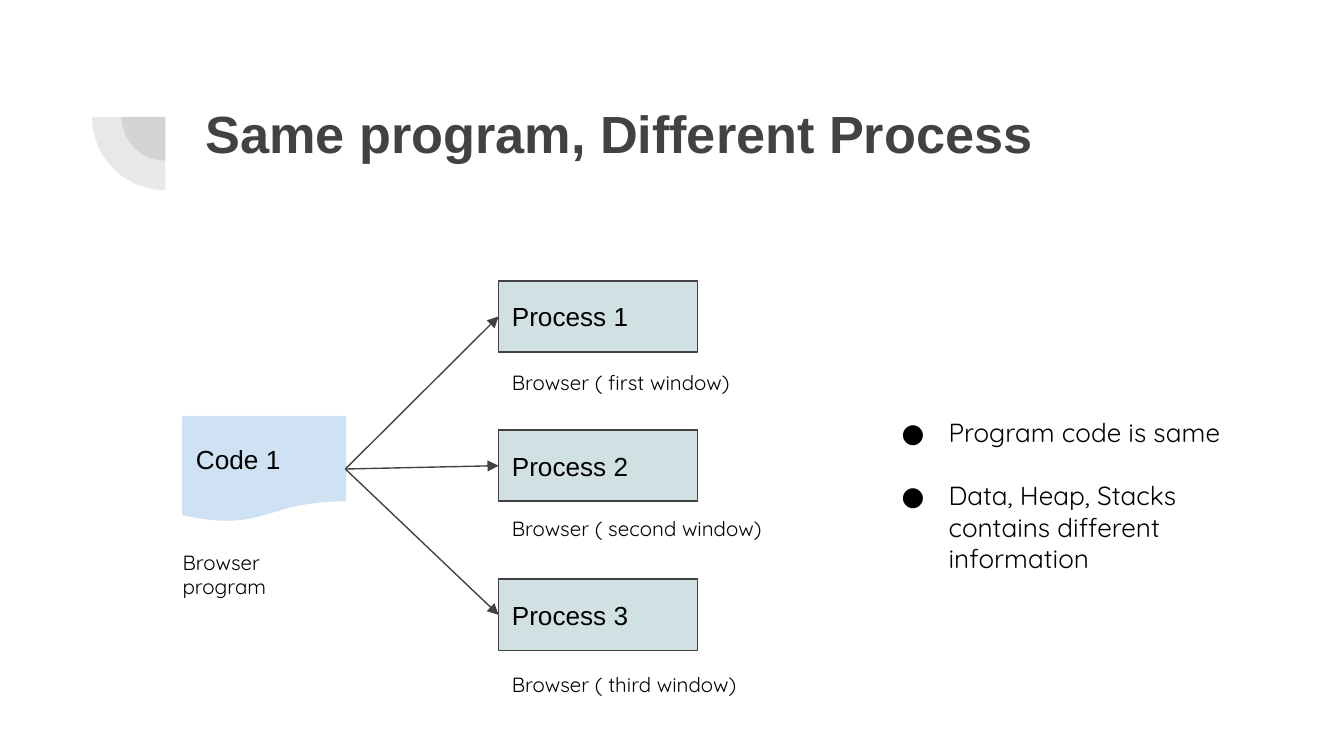
from lxml.etree import SubElement
from pptx import Presentation
from pptx.dml.color import RGBColor
from pptx.enum.shapes import MSO_CONNECTOR, MSO_SHAPE
from pptx.enum.text import MSO_ANCHOR, MSO_AUTO_SIZE, PP_ALIGN
from pptx.oxml.ns import qn
from pptx.util import Inches, Pt

TITLE = "Same program, Different Process"
CODE = ("Code 1", "Browser program")
PROCESSES = [
    ("Process 1", "Browser ( first window)", 0.56, 1.84),
    ("Process 2", "Browser ( second window)", 0.54, 2.06),
    ("Process 3", "Browser ( third window)", 0.59, 1.89),
]
POINTS = ["Program code is same", "Data, Heap, Stacks contains different information"]

COLORS = {"ink": "424242", "text": "000000", "code": "CFE2F3", "process": "D0E0E3"}
WIDTH = 10
HEIGHT = WIDTH * 9 / 16
CODE_BOX = (1.36, 3.1, 1.21, 0.78)
PROCESS_LEFT, PROCESS_TOP, PROCESS_STEP = 3.71, 2.09, 1.11
PROCESS_SIZE = (1.48, 0.53)
PIE_CENTER, PIE_SIZES = (1.23, 0.87), (0.65, 1.09)

LABEL = {"name": "Arial", "size": Pt(14)}
CAPTION = {"name": "Quicksand", "size": Pt(11)}
BULLET = {"name": "Quicksand", "size": Pt(14)}
HEADING = {"name": "Arial", "size": Pt(28), "bold": True}


def color(name):
    return RGBColor.from_string(COLORS[name])


def apply(target, values):
    for name, value in values.items():
        setattr(target, name, value)


def write(holder, lines, style, ink="text", anchor=MSO_ANCHOR.TOP):
    frame = holder.text_frame
    apply(frame, {
        "word_wrap": True, "auto_size": MSO_AUTO_SIZE.NONE, "vertical_anchor": anchor,
        **{f"margin_{side}": Inches(0.1) for side in ("left", "top", "right", "bottom")},
    })
    for index, line in enumerate(lines):
        para = frame.add_paragraph() if index else frame.paragraphs[0]
        para.alignment = PP_ALIGN.LEFT
        span = para.add_run()
        span.text = line
        apply(span.font, style)
        span.font.color.rgb = color(ink)
    return frame.paragraphs


def add_text(page, area, lines, style):
    return write(page.shapes.add_textbox(*map(Inches, area)), lines, style)


def add_block(page, kind, area, fill, line):
    block = page.shapes.add_shape(kind, *map(Inches, area))
    block.shadow.inherit = False
    block.fill.solid()
    block.fill.fore_color.rgb = color(fill)
    if line:
        block.line.color.rgb = color(line)
        block.line.width = Pt(0.75)
    else:
        block.line.fill.background()
    return block


def add_quarter(page, size):
    x, y = PIE_CENTER
    area = (x - size / 2, y - size / 2, size, size)
    quarter = add_block(page, MSO_SHAPE.PIE, area, "ink", None)
    quarter.adjustments[0], quarter.adjustments[1] = 107.93, 162
    quarter.rotation = 270
    tint = quarter.fill._xPr.find(qn("a:solidFill"))[0]
    SubElement(tint, qn("a:alpha"), val="12000")


def add_arrow(page, start, end):
    arrow = page.shapes.add_connector(MSO_CONNECTOR.STRAIGHT, *map(Inches, start + end))
    arrow.line.color.rgb = color("ink")
    arrow.line.width = Pt(0.75)
    SubElement(arrow.line._get_or_add_ln(), qn("a:tailEnd"), type="triangle")
    SubElement(arrow._element.spPr, qn("a:effectLst"))


def add_bullet(para):
    props = para._p.get_or_add_pPr()
    props.set("marL", str(Inches(0.5)))
    props.set("indent", str(Inches(-0.35)))
    tint = SubElement(props, qn("a:buClr"))
    SubElement(tint, qn("a:srgbClr"), val=COLORS["text"])
    SubElement(props, qn("a:buFont"), typeface=BULLET["name"])
    SubElement(props, qn("a:buChar"), char="●")


def main():
    deck = Presentation()
    deck.slide_width, deck.slide_height = Inches(WIDTH), Inches(HEIGHT)
    page = deck.slides.add_slide(deck.slide_layouts[5])

    for size in PIE_SIZES:
        add_quarter(page, size)
    title = page.shapes.title
    apply(title, dict(zip(("left", "top", "width", "height"),
                          map(Inches, (1.43, 0.65, 7.69, 1.09)))))
    write(title, [TITLE], HEADING, "ink")

    label, caption = CODE
    left, top, width, height = CODE_BOX
    code = add_block(page, MSO_SHAPE.FLOWCHART_DOCUMENT, CODE_BOX, "code", "code")
    write(code, [label], LABEL, anchor=MSO_ANCHOR.MIDDLE)
    add_text(page, (left - 0.1, 3.99, width + 0.2, 0.32), [caption], CAPTION)

    source = (left + width, top + height / 2)
    for row, (label, caption, drop, caption_width) in enumerate(PROCESSES):
        top = PROCESS_TOP + row * PROCESS_STEP
        area = (PROCESS_LEFT, top, *PROCESS_SIZE)
        process = add_block(page, MSO_SHAPE.RECTANGLE, area, "process", "ink")
        write(process, [label], LABEL, anchor=MSO_ANCHOR.MIDDLE)
        add_arrow(page, source, (PROCESS_LEFT, top + PROCESS_SIZE[1] / 2))
        add_text(page, (PROCESS_LEFT, top + drop, caption_width, 0.32), [caption], CAPTION)

    points = add_text(page, (6.46, 3, 2.73, 1.58), POINTS, BULLET)
    for para in points:
        add_bullet(para)
    points[0].space_after = Pt(17)

    deck.save("out.pptx")


if __name__ == "__main__":
    main()
